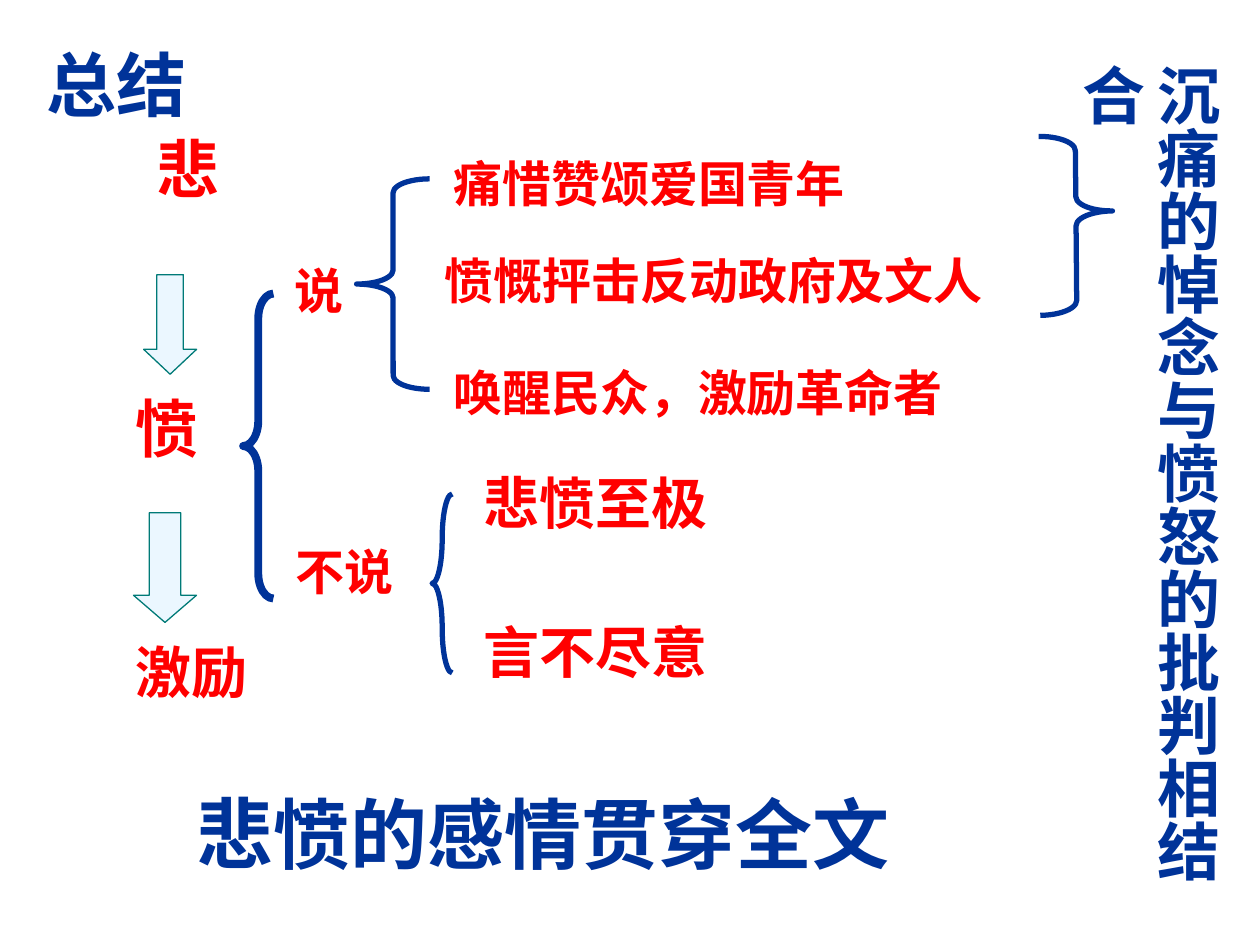
from pptx import Presentation
from pptx.dml.color import RGBColor
from pptx.enum.shapes import MSO_SHAPE
from pptx.enum.text import MSO_AUTO_SIZE
from pptx.util import Inches, Pt

BRACE = MSO_SHAPE.LEFT_BRACE
DOWN_ARROW = MSO_SHAPE.DOWN_ARROW
GROW = MSO_AUTO_SIZE.SHAPE_TO_FIT_TEXT

COLORS = {"navy": "003399", "red": "FF0000", "pale": "EBF7FF", "teal": "007A77"}
FONT = {"name": "Times New Roman", "bold": True}


def color(name):
    return RGBColor.from_string(COLORS[name])


def add_text(page, box, text, size, ink="red", vertical=False):
    """Place one line of bold text in box (left, top, width, height)."""
    label = page.shapes.add_textbox(*map(Inches, box))
    frame = label.text_frame
    across, along = (0.05, 0.1) if vertical else (0.1, 0.05)
    settings = {
        "word_wrap": True, "auto_size": GROW,
        "margin_left": Inches(across), "margin_right": Inches(across),
        "margin_top": Inches(along), "margin_bottom": Inches(along),
    }
    for key, value in settings.items():
        setattr(frame, key, value)
    if vertical:
        frame._txBody.bodyPr.set("vert", "eaVert")
    span = frame.paragraphs[0].add_run()
    span.text = text
    for key, value in {**FONT, "size": Pt(size)}.items():
        setattr(span.font, key, value)
    span.font.color.rgb = color(ink)


def add_figure(page, kind, box, adjustments, line, weight, fill=None, rotation=0):
    figure = page.shapes.add_shape(kind, *map(Inches, box))
    figure.shadow.inherit = False
    figure.rotation = rotation
    for index, value in enumerate(adjustments):
        figure.adjustments[index] = value
    if fill:
        figure.fill.solid()
        figure.fill.fore_color.rgb = color(fill)
    else:
        figure.fill.background()
    figure.line.color.rgb = color(line)
    figure.line.width = Pt(weight)


def add_brace(page, box, curve, weight=3, middle=0.5, rotation=0):
    add_figure(page, BRACE, box, (curve, middle), "navy", weight, rotation=rotation)


def add_emotions(page, box):
    """Column of emotions, joined by block arrows."""
    left, top, width, height = box
    stages = [  # text, size, offset x, offset y, width, height
        ("悲", 36, 0.16, 0, 1.5, 1.62),
        ("愤", 36, 0, 2.05, 0.92, 0.7),
        ("激励", 32, 0, 4.02, width, 0.64),
    ]
    for text, size, x, y, wide, high in stages:
        add_text(page, (left + x, top + y, wide, high), text, size)
    arrows = [(0.16, 1.19, 0.42, 0.79, 0.47), (0.08, 3.08, 0.5, 0.87, 0.43)]
    for x, y, wide, high, head in arrows:
        add_figure(page, DOWN_ARROW, (left + x, top + y, wide, high),
                   (0.5, head), "teal", 0.75, fill="pale")


def add_spoken(page, box):
    """What is said: a label, a brace and three points."""
    left, top, width, height = box
    add_text(page, (left, top + 0.85, 0.71, 0.57), "说", 28)
    add_brace(page, (left + 0.59, top + 0.25, 0.58, 1.67), 0.19)
    points = [
        ("痛惜赞颂爱国青年", 1.26, 0, 3.75),
        ("愤慨抨击反动政府及文人", 1.19, 0.77, 4.83),
        ("唤醒民众，激励革命者", 1.26, 1.66, 5.58),
    ]
    for text, x, y, wide in points:
        add_text(page, (left + x, top + y, wide, 0.57), text, 28)


def add_unspoken(page, box):
    """What is left unsaid: a label, a brace and two points."""
    left, top, width, height = box
    add_text(page, (left, top + 0.58, 1.08, 0.57), "不说", 28)
    add_brace(page, (left + 1.18, top + 0.25, 0.16, 1.42), 2.2)
    for text, y in (("悲愤至极", 0), ("言不尽意", 1.18)):
        add_text(page, (left + 1.49, top + y, width - 1.49, 0.64), text, 32)


def add_conclusion(page, box):
    """Closing brace and the vertical conclusion."""
    left, top, width, height = box
    add_brace(page, (left + 0.79, top + 0.67, 0.58, 1.42), 0.2,
              middle=0.58, rotation=179.5)
    add_text(page, box, "沉痛的悼念与愤怒的批判相结合", 36, "navy", vertical=True)


def main():
    deck = Presentation()
    deck.slide_width, deck.slide_height = Inches(10), Inches(7.5)
    page = deck.slides.add_slide(deck.slide_layouts[6])

    # Heading and outline
    add_text(page, (0.27, 0.28, 2.05, 0.77), "总结", 40, "navy")
    add_emotions(page, (0.98, 0.99, 1.57, 4.66))
    add_brace(page, (1.93, 2.33, 0.24, 2.42), 0.83, weight=4.5)
    add_spoken(page, (2.24, 1.17, 6.84, 2.23))
    add_unspoken(page, (2.25, 3.67, 4.4, 1.82))

    # Conclusions
    add_text(page, (1.46, 6.19, 6.38, 0.84), "悲愤的感情贯穿全文", 44, "navy")
    add_conclusion(page, (7.46, 0.41, 2.31, 7.09))

    deck.save("out.pptx")


if __name__ == "__main__":
    main()
